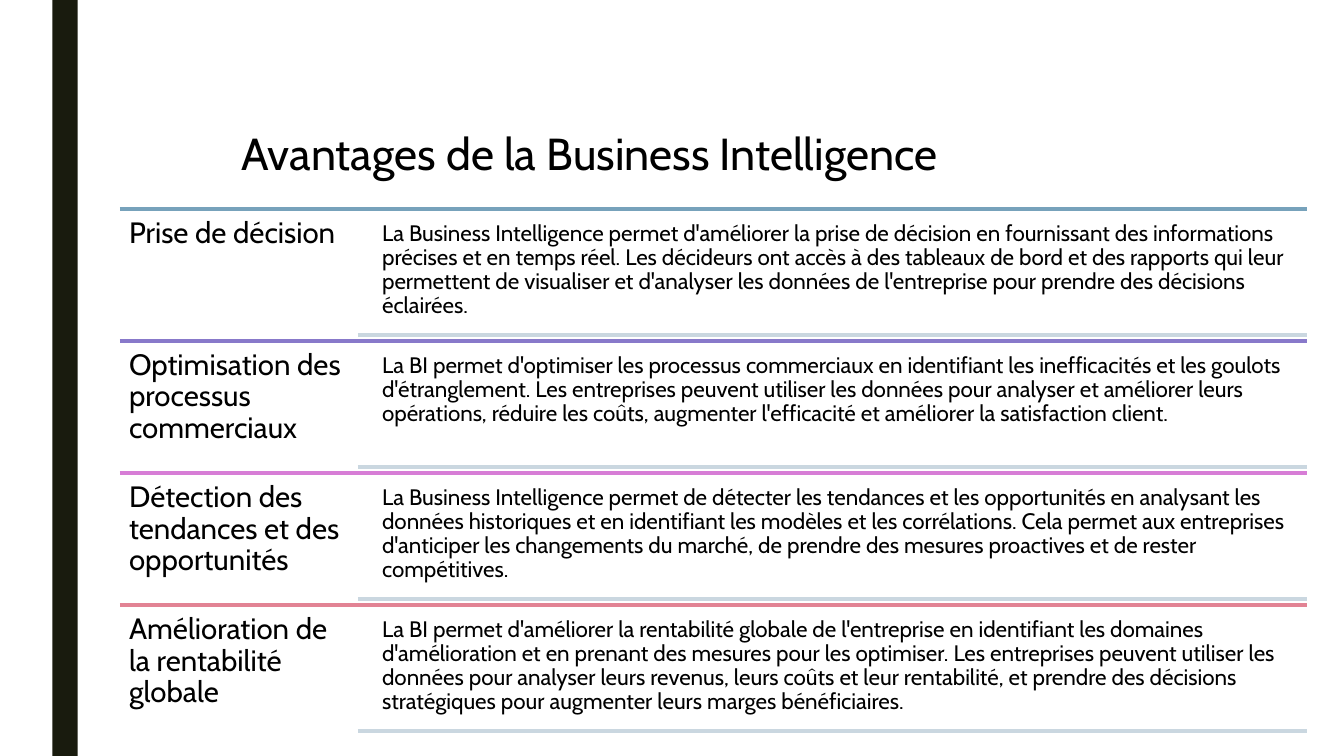
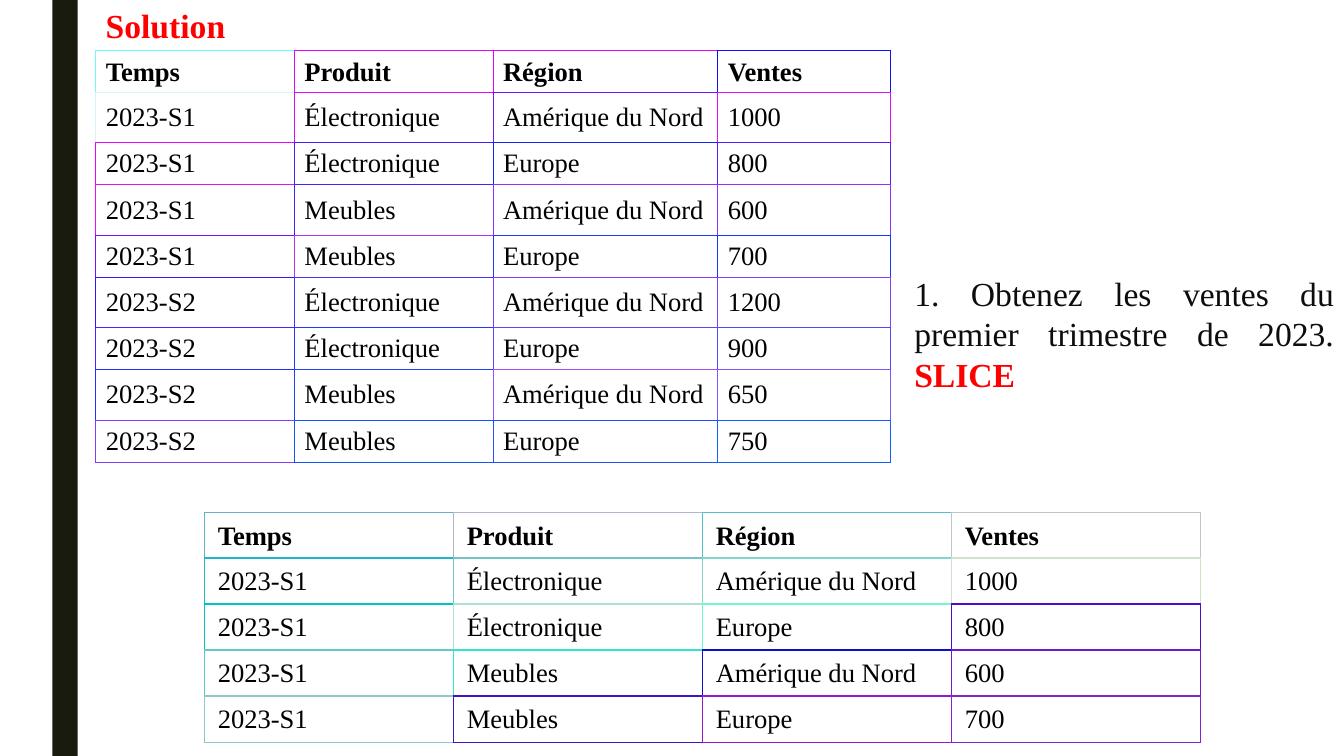
from lxml.etree import SubElement
from pptx import Presentation
from pptx.dml.color import RGBColor
from pptx.enum.shapes import MSO_CONNECTOR, MSO_SHAPE
from pptx.enum.text import MSO_ANCHOR, MSO_AUTO_SIZE, PP_ALIGN
from pptx.oxml import parse_xml
from pptx.oxml.ns import nsdecls, qn
from pptx.util import Inches, Pt

BLACK = RGBColor(0x00, 0x00, 0x00)
WHITE = RGBColor(0xFF, 0xFF, 0xFF)
INK = RGBColor(0x0D, 0x0D, 0x0D)
RED = RGBColor(0xFF, 0x00, 0x00)
BAND = RGBColor(0x19, 0x1B, 0x0E)
PALE_BLUE = RGBColor(0xCA, 0xD7, 0xE0)
BLUE = RGBColor(0x77, 0xA2, 0xBB)
VIOLET = RGBColor(0x88, 0x79, 0xCA)
ORCHID = RGBColor(0xD7, 0x7D, 0xD6)
CORAL = RGBColor(0xE2, 0x83, 0x94)
SANS = "Cabin"
SERIF = "Times New Roman"


def style(run, font, size, color=BLACK, bold=False):
    run.font.name = font
    run.font.size = Pt(size)
    run.font.color.rgb = color
    run.font.bold = bold


def add_text(shapes, box, text, font, size, color=BLACK, bold=False, inset=None, wrap=True):
    frame = shapes.add_textbox(*map(Inches, box)).text_frame
    frame.word_wrap = wrap
    frame.text = text
    if inset is None:
        frame.auto_size = MSO_AUTO_SIZE.SHAPE_TO_FIT_TEXT
    else:
        frame.margin_left = frame.margin_right = Inches(inset)
        frame.margin_top = frame.margin_bottom = Inches(inset)
        frame.paragraphs[0].line_spacing = 0.9
    style(frame.paragraphs[0].runs[0], font, size, color, bold)
    return frame


deck = Presentation()
deck.slide_width = Inches(13.33)
deck.slide_height = Inches(7.5)
blank = deck.slide_layouts[6]
benefits_slide, solution_slide = [deck.slides.add_slide(blank) for _ in range(2)]

for slide in deck.slides:
    band = slide.shapes.add_shape(
        MSO_SHAPE.RECTANGLE, Inches(0.52), 0, Inches(0.25), deck.slide_height)
    band.shadow.inherit = False
    band.fill.solid()
    band.fill.fore_color.rgb = BAND
    band.line.fill.background()

add_text(benefits_slide.shapes, (2.3, 1.2, 7.3, 0.64),
         "Avantages de la Business Intelligence", SANS, 32, wrap=False)

benefits = [
    (BLUE, "Prise de décision",
     "La Business Intelligence permet d'améliorer la prise de décision en fournissant des "
     "informations précises et en temps réel. Les décideurs ont accès à des tableaux de bord et "
     "des rapports qui leur permettent de visualiser et d'analyser les données de l'entreprise "
     "pour prendre des décisions éclairées."),
    (VIOLET, "Optimisation des processus commerciaux",
     "La BI permet d'optimiser les processus commerciaux en identifiant les inefficacités et les "
     "goulots d'étranglement. Les entreprises peuvent utiliser les données pour analyser et "
     "améliorer leurs opérations, réduire les coûts, augmenter l'efficacité et améliorer la "
     "satisfaction client."),
    (ORCHID, "Détection des tendances et des opportunités",
     "La Business Intelligence permet de détecter les tendances et les opportunités en analysant "
     "les données historiques et en identifiant les modèles et les corrélations. Cela permet aux "
     "entreprises d'anticiper les changements du marché, de prendre des mesures proactives et de "
     "rester compétitives."),
    (CORAL, "Amélioration de la rentabilité globale",
     "La BI permet d'améliorer la rentabilité globale de l'entreprise en identifiant les domaines "
     "d'amélioration et en prenant des mesures pour les optimiser. Les entreprises peuvent "
     "utiliser les données pour analyser leurs revenus, leurs coûts et leur rentabilité, et "
     "prendre des décisions stratégiques pour augmenter leurs marges bénéficiaires."),
]
LIST_TOP, ROW_PITCH, ROW_GAP = 2.07, 1.31, 0.06
HEADING_LEFT, RULE_LEFT, DETAIL_LEFT, LIST_RIGHT = 1.19, 3.55, 3.72, 12.96
detail_height = ROW_PITCH - 2 * ROW_GAP

benefit_list = benefits_slide.shapes.add_group_shape().shapes
for row, (accent, heading, detail) in enumerate(benefits):
    top = LIST_TOP + row * ROW_PITCH
    bottom = top + ROW_PITCH - ROW_GAP
    for left, y, color in ((HEADING_LEFT, top, accent), (RULE_LEFT, bottom, PALE_BLUE)):
        rule = benefit_list.add_connector(
            MSO_CONNECTOR.STRAIGHT, Inches(left), Inches(y), Inches(LIST_RIGHT), Inches(y))
        rule.line.color.rgb = color
        rule.line.width = Pt(2.75)
        SubElement(rule._element.spPr, qn("a:effectLst"))
    add_text(benefit_list, (HEADING_LEFT, top, RULE_LEFT - HEADING_LEFT, ROW_PITCH),
             heading, SANS, 21, inset=0.09)
    add_text(benefit_list, (DETAIL_LEFT, top + ROW_GAP, LIST_RIGHT - DETAIL_LEFT, detail_height),
             detail, SANS, 16, inset=0.07)

add_text(solution_slide.shapes, (0.95, 0, 1.48, 0.5), "Solution", SERIF, 24, RED, True, wrap=False)
question = add_text(solution_slide.shapes, (8.97, 2.66, 4.36, 1.63),
                    "1. Obtenez les ventes du premier trimestre de 2023. ", SERIF, 24, INK)
question.paragraphs[0].alignment = PP_ALIGN.JUSTIFY
operation = question.paragraphs[0].add_run()
operation.text = "SLICE"
style(operation, SERIF, 24, RED, True)

header = ("Temps", "Produit", "Région", "Ventes")
sales = [
    ("2023-S1", "Électronique", "Amérique du Nord", "1000"),
    ("2023-S1", "Électronique", "Europe", "800"),
    ("2023-S1", "Meubles", "Amérique du Nord", "600"),
    ("2023-S1", "Meubles", "Europe", "700"),
    ("2023-S2", "Électronique", "Amérique du Nord", "1200"),
    ("2023-S2", "Électronique", "Europe", "900"),
    ("2023-S2", "Meubles", "Amérique du Nord", "650"),
    ("2023-S2", "Meubles", "Europe", "750"),
]
first_period = [sale for sale in sales if sale[0] == "2023-S1"]

sales_borders = """
70FAF9 E005FA E005FA 100FFA
D0FAF9 E008FA 7015FA E011FA
E008FA 4021FA 1024FA 501DFA
E011FA 4021FA 902EFA 9031FA
7015FA B02FFA 2038FA 1039FA
3016FA 4033FA 803EFA 8041FA
4027FA 2038FA 6043FA 5047FA
2032FA 2041FA A04EFA 8056FA
803EFA 1054FA 2050FA 1060FA
"""
slice_borders = """
60B3CA B0B7CA 50C3CA C0C5CA
20B7CA 70C4CA 80D8CA D0E2CA
00C2CA B0E1CA 70F7CA 500BCB
60C8CA 30E6CA 100CCB 701BCB
90C8CA 4012CB 9019CB 8026CB
"""
tables = [
    (0.95, 0.5, [1.97, 1.97, 2.23, 1.71], [0.41, 0.5] * 4 + [0.41],
     sales, sales_borders, (0.1, 0.05), None),
    (2.03, 5.08, [2.47] * 4, [0.45] * 5,
     first_period, slice_borders, (0.13, 0.07), WHITE),
]

for left, top, widths, heights, records, borders, (inset_x, inset_y), background in tables:
    grid = solution_slide.shapes.add_table(
        len(heights), len(widths), Inches(left), Inches(top),
        Inches(sum(widths)), Inches(sum(heights))).table
    grid.first_row = grid.horz_banding = False
    for column, width in zip(grid.columns, widths):
        column.width = Inches(width)
    for line, height in zip(grid.rows, heights):
        line.height = Inches(height)
    colors = [line.split() for line in borders.split("\n") if line]
    last_row, last_column = len(heights) - 1, len(widths) - 1
    for r, record in enumerate([header] + records):
        for c, value in enumerate(record):
            cell = grid.cell(r, c)
            cell.text_frame.text = value
            style(cell.text_frame.paragraphs[0].runs[0], SERIF, 19, bold=r == 0)
            cell.vertical_anchor = MSO_ANCHOR.BOTTOM if r == 0 else MSO_ANCHOR.MIDDLE
            cell.margin_left = cell.margin_right = Inches(inset_x)
            cell.margin_top = cell.margin_bottom = Inches(inset_y)
            if background is None:
                cell.fill.background()
            else:
                cell.fill.solid()
                cell.fill.fore_color.rgb = background
            sides = [
                ("lnL", colors[r][c], 0.75),
                ("lnR", colors[r][min(c + 1, last_column)], 0.75),
                ("lnT", colors[r][c], 1 if r > 0 else 0.75),
                ("lnB", colors[min(r + 1, last_row)][c], 1 if r < last_row else 0.75),
            ]
            properties = cell._tc.get_or_add_tcPr()
            for position, (side, color, weight) in enumerate(sides):
                properties.insert(position, parse_xml(
                    f'<a:{side} {nsdecls("a")} w="{Pt(weight)}"><a:solidFill>'
                    f'<a:srgbClr val="{color}"/></a:solidFill></a:{side}>'))

deck.save("out.pptx")
